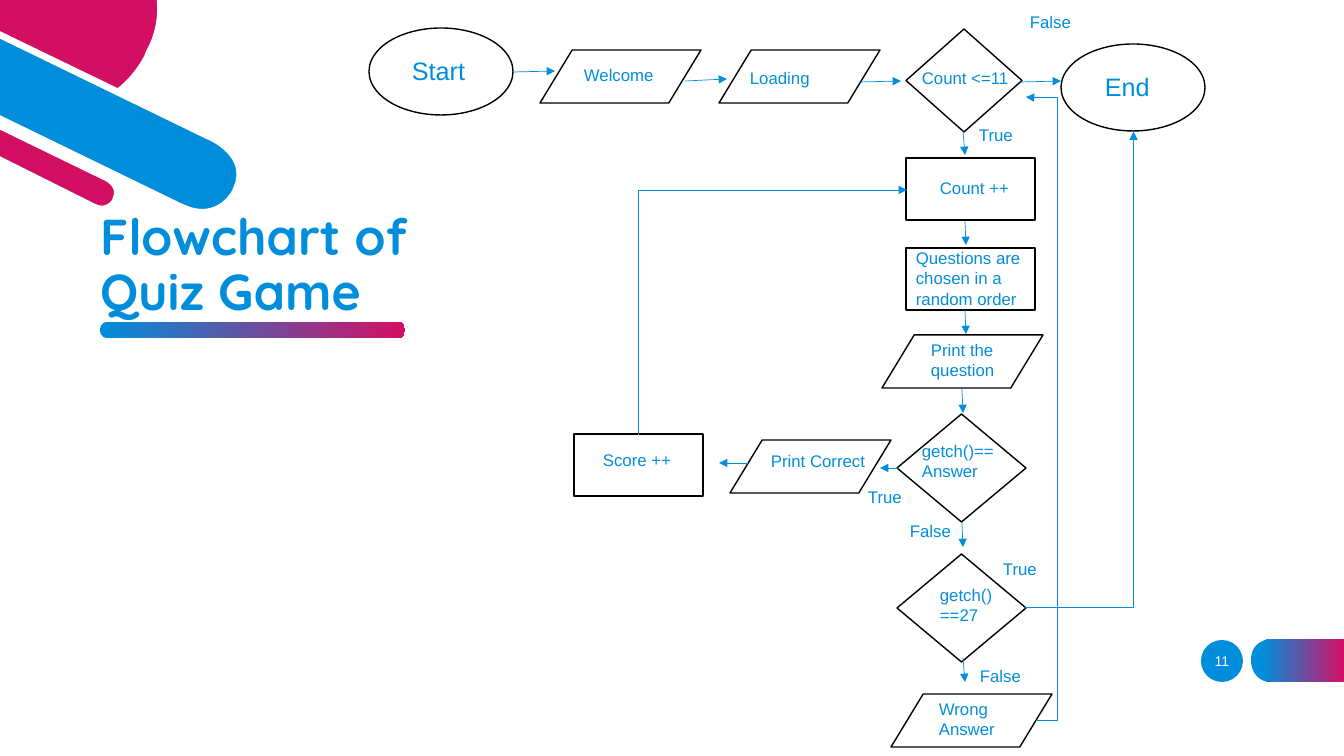
"""Build the quiz game flowchart slide."""
from lxml import etree
from pptx import Presentation
from pptx.dml.color import RGBColor
from pptx.enum.shapes import MSO_CONNECTOR as CONN, MSO_SHAPE as SHAPE
from pptx.enum.text import MSO_ANCHOR as ANCHOR, PP_ALIGN as ALIGN
from pptx.oxml.ns import qn
from pptx.util import Pt

PX = 914400 / 100.8
BLUE = RGBColor(0x00, 0x8E, 0xDC)
PINK = RGBColor(0xD3, 0x0F, 0x64)
WHITE = RGBColor(0xFF, 0xFF, 0xFF)
BLACK = RGBColor(0x00, 0x00, 0x00)

BLOB = [(147, 56), (147, 56, 137, 77, 118, 91), (-4, 32), (-4, -4), (159, -4),
        (161, 15, 159, 33, 148, 53)]
PILL = [(-4, 125), (107, 179), (107, 179, 121, 186, 115, 199), (115, 200),
        (115, 200, 108, 213, 94, 206), (-4, 157)]
BAND = [(-4, 34), (214, 140), (214, 140, 251, 158, 235, 190), (234, 192),
        (234, 192, 218, 224, 181, 206), (-4, 116)]
PAGE_TAB = [(1272, 682), (1344, 682), (1344, 639), (1272, 639),
            (1272, 639, 1251, 639, 1251, 660), (1251, 661),
            (1251, 661, 1251, 682, 1272, 682)]

TERMINAL = (SHAPE.OVAL, 144, 87)
IN_OUT = (SHAPE.FLOWCHART_DATA, 161, 53)
PROCESS = (SHAPE.FLOWCHART_PROCESS, 129, 62)
DECISION = (SHAPE.FLOWCHART_DECISION, 129, 108)
SMALL_DECISION = (SHAPE.FLOWCHART_DECISION, 116, 103)

NODES = [
    (TERMINAL, 369, 28), (IN_OUT, 540, 50), (IN_OUT, 719, 50),
    (SMALL_DECISION, 906, 29), (TERMINAL, 1061, 44), (PROCESS, 906, 158),
    (PROCESS, 906, 248), (IN_OUT, 882, 335), (DECISION, 897, 414),
    (IN_OUT, 730, 440), (PROCESS, 574, 434), (DECISION, 897, 554), (IN_OUT, 891, 694),
]
ARROWS = [
    (513, 72, 555, 71), (685, 81, 727, 79), (859, 82, 901, 81),
    (1020, 82, 1061, 81), (963, 131, 965, 155), (965, 221, 966, 245),
    (965, 310, 966, 334), (962, 389, 963, 413), (898, 468, 880, 468),
    (748, 463, 719, 463), (962, 523, 963, 547), (963, 658, 965, 682),
]
ELBOWS = [
    ("bentConnector2", (650, 178, 245, 269), 90, ()),
    ("bentConnector4", (1026, 97, 10, 623), 0, (-210000, 99900)),
    ("bentConnector3", (841, 316, 477, 108), 90, (200,)),
]
TEXTS = [
    ("Start", 402, 50, 111, 40), ("End", 1095, 66, 111, 40),
    ("Welcome", 574, 60, 111, 30), ("Loading", 740, 63, 111, 30),
    ("Count <=11", 912, 63, 127, 30), ("Count ++", 930, 173, 127, 30),
    ("Questions are chosen in a random order", 906, 243, 127, 71),
    ("Print the question", 921, 335, 115, 51),
    ("getch()==Answer", 912, 436, 94, 51),
    ("Print Correct", 761, 446, 118, 30), ("Score ++", 593, 445, 115, 30),
    ("getch()==27", 930, 580, 79, 51), ("Wrong Answer", 929, 694, 115, 51),
    ("False", 1020, 7, 111, 30), ("True", 969, 120, 111, 30),
    ("True", 858, 482, 111, 30), ("False", 900, 516, 111, 30),
    ("True", 993, 554, 111, 30), ("False", 970, 661, 111, 30),
]


def emu(*lengths):
    return [round(v * PX) for v in lengths]


def style(sp, fill=None, line=None, width=1):
    sp.shadow.inherit = False
    if fill is None:
        sp.fill.background()
    elif isinstance(fill, tuple) and not isinstance(fill, RGBColor):
        sp.fill.gradient()
        sp.fill.gradient_angle = 0
        for stop, (position, color) in zip(sp.fill.gradient_stops, fill):
            stop.position, stop.color.rgb = position, color
    else:
        sp.fill.solid()
        sp.fill.fore_color.rgb = fill
    if line is None:
        sp.line.fill.background()
    else:
        sp.line.color.rgb = line
        sp.line.width = Pt(width)


def outline(s, steps, fill, line=None, width=1):
    points = []
    for step in steps:
        if len(step) == 2:
            points.append(step)
            continue
        controls = [points[-1], step[:2], step[2:4], step[4:]]
        for i in range(1, 13):
            t = i / 12
            weights = ((1 - t) ** 3, 3 * t * (1 - t) ** 2, 3 * t * t * (1 - t), t ** 3)
            points.append(tuple(sum(w * c[k] for w, c in zip(weights, controls))
                                for k in (0, 1)))
    points = [emu(*point) for point in points]
    builder = s.shapes.build_freeform(*points[0])
    builder.add_line_segments(points[1:], close=True)
    style(builder.convert_to_shape(), fill, line, width)


def write(tf, text, size, color=BLUE, name="Arial"):
    tf.word_wrap = True
    tf.text = text
    p = tf.paragraphs[0]
    p.font.size, p.font.name, p.font.color.rgb = Pt(size), name, color
    return p


def arrow(s, kind, ends):
    c = s.shapes.add_connector(kind, *emu(*ends))
    c.line.color.rgb = BLUE
    c.line.width = Pt(0.5)
    etree.SubElement(c.line._get_or_add_ln(), qn("a:tailEnd"), type="triangle")
    etree.SubElement(c._element.spPr, qn("a:effectLst"))
    return c


def elbow(s, preset, box, rotation, adjusts):
    x, y, w, h = box
    sp_pr = arrow(s, CONN.ELBOW, (x + w, y + h, x, y))._element.spPr
    sp_pr.find(qn("a:xfrm")).set("rot", str(rotation * 60000))
    geom = sp_pr.find(qn("a:prstGeom"))
    geom.set("prst", preset)
    guides = geom.find(qn("a:avLst"))
    for i, value in enumerate(adjusts, 1):
        etree.SubElement(guides, qn("a:gd"), name=f"adj{i}", fmla=f"val {value}")


prs = Presentation()
prs.slide_width, prs.slide_height = emu(1344, 756)
s = prs.slides.add_slide(prs.slide_layouts[5])

for steps, color in ((BLOB, PINK), (PILL, PINK), (BAND, BLUE)):
    outline(s, steps, color, WHITE, 3.5)
outline(s, PAGE_TAB, ((0.12, BLUE), (1, PINK)))

bar = s.shapes.add_shape(SHAPE.ROUNDED_RECTANGLE, *emu(100, 322, 305, 16))
bar.adjustments[0] = 0.45
style(bar, ((0, BLUE), (1, PINK)))

page = s.shapes.add_shape(SHAPE.OVAL, *emu(1201, 640, 42, 42))
style(page, BLUE)
tf = page.text_frame
tf.margin_left = tf.margin_right = tf.margin_top = tf.margin_bottom = 0
tf.vertical_anchor = ANCHOR.MIDDLE
write(tf, "11", 10, WHITE).alignment = ALIGN.CENTER

title = s.shapes.title
title.left, title.top, title.width, title.height = emu(90, 251, 375, 75)
title.text_frame.vertical_anchor = ANCHOR.BOTTOM
p = write(title.text_frame, "Flowchart of \vQuiz Game", 36, name="Quicksand")
p.font.bold, p.alignment, p.line_spacing = True, ALIGN.LEFT, 0.9

for (shape, w, h), x, y in NODES:
    node = s.shapes.add_shape(shape, *emu(x, y, w, h))
    style(node, WHITE if shape == SHAPE.FLOWCHART_DECISION else None, BLACK)
for ends in ARROWS:
    arrow(s, CONN.STRAIGHT, ends)
for parts in ELBOWS:
    elbow(s, *parts)
for text, *box in TEXTS:
    label = s.shapes.add_textbox(*emu(*box))
    write(label.text_frame, text, 18 if text in ("Start", "End") else 12)

prs.save("out.pptx")
